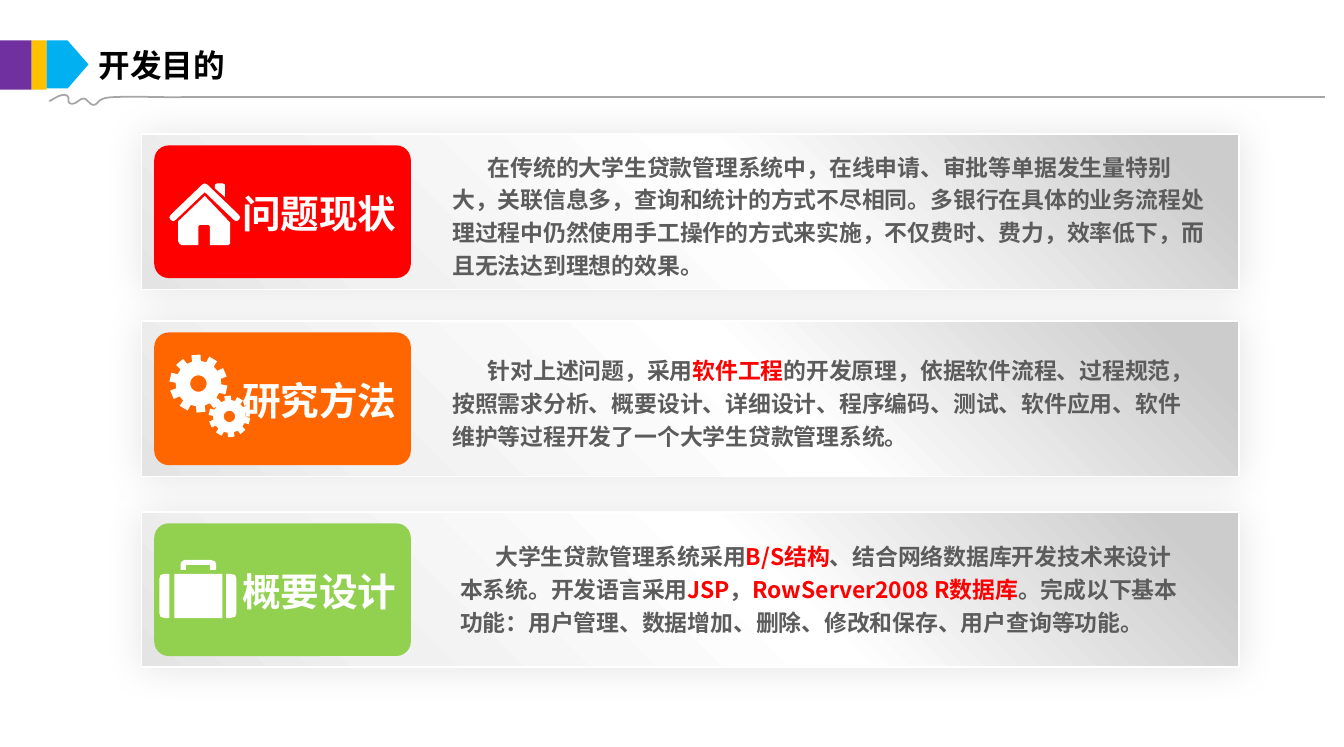
import math

import lxml.etree
import pptx
import pptx.dml.color
import pptx.enum.shapes
import pptx.enum.text
import pptx.oxml
import pptx.oxml.ns
import pptx.util

PX = 9144
SHAPES = pptx.enum.shapes.MSO_SHAPE
ALIGN = pptx.enum.text.PP_ALIGN
ANCHOR = pptx.enum.text.MSO_ANCHOR
RED, WHITE, GREY = "FF0000", "FFFFFF", "5C5C5C"
PANEL_STOPS = [(6, "CCCCCC"), (43, "FFFFFF"), (80, "F1F1F1"), (100, "E4E4E4")]

HOUSE = [
    [(178, 146), (176, 145), (172, 145), (170, 146), (170, 149), (178, 156)],
    [(189, 170), (164, 146), (162, 145), (160, 146), (135, 170), (134, 172), (135, 174),
     (137, 175), (139, 174), (162, 152), (185, 174), (187, 175), (189, 174), (190, 172)],
    [(141, 175), (141, 191), (142, 193), (144, 194), (157, 194), (157, 179), (158, 178),
     (165, 178), (166, 179), (166, 194), (180, 194), (182, 193), (182, 176), (162, 155)],
]
SUITCASE = [
    [(147, 447), (166, 447), (166, 451), (171, 451), (171, 446), (170, 444), (166, 443),
     (146, 443), (144, 444), (143, 446), (143, 451), (147, 451)],
    [(126, 458), (126, 485), (127, 488), (130, 489), (134, 489), (134, 454), (130, 454), (127, 455)],
    [(138, 489), (176, 489), (176, 454), (138, 454)],
    [(182, 454), (179, 454), (179, 489), (182, 489), (186, 488), (187, 485), (187, 458), (186, 455)],
]
SQUIGGLE = [
    (39, 80), (42, 79), (46, 75), (51, 75), (57, 76), (52, 81), (56, 82),
    (60, 83), (63, 78), (66, 78), (69, 78), (71, 83), (74, 83),
    (78, 83), (76, 78), (87, 77), (99, 76), (131, 77), (143, 77),
]


def rgb(value):
    """Turn a hex string into a colour."""
    return pptx.dml.color.RGBColor.from_string(value)


def write(paragraph, text, size=13, color=GREY, font="Noto Sans CJK SC", bold=True):
    """Add a formatted run to a paragraph."""
    run = paragraph.add_run()
    run.text = text
    run.font.size, run.font.bold, run.font.name = pptx.util.Pt(size), bold, font
    run.font.color.rgb = rgb(color)
    east_asian = lxml.etree.SubElement(run.font._element, pptx.oxml.ns.qn("a:ea"))
    east_asian.set("typeface", font)


def gear(x, y, tip, root, hole, teeth=10):
    """Return the toothed outline and the hole of a gear."""
    rim = []
    for tooth in range(teeth):
        middle = 13 + tooth * 360 / teeth
        for offset, radius in ((-11, root), (-9, tip), (9, tip), (11, root)):
            angle = math.radians(middle + offset)
            rim.append((x + radius * math.cos(angle), y + radius * math.sin(angle)))
    circle = [(x + hole * math.cos(math.radians(a)), y + hole * math.sin(math.radians(a)))
              for a in range(360, 0, -15)]
    return [rim, circle]


def smooth_curve(knots, steps=8):
    """Sample a chain of cubic Bezier segments."""
    points = [knots[0]]
    for first in range(0, len(knots) - 1, 3):
        for step in range(1, steps + 1):
            t = step / steps
            weights = ((1 - t) ** 3, 3 * t * (1 - t) ** 2, 3 * t * t * (1 - t), t ** 3)
            points.append(tuple(sum(w * knot[axis] for w, knot in zip(weights, knots[first:first + 4]))
                                for axis in (0, 1)))
    return points


class Deck:
    """Hold the style and the current slide."""

    def __init__(self, width, height):
        """Open a deck with one title slide layout."""
        self.presentation = pptx.Presentation()
        self.presentation.slide_width = width * PX
        self.presentation.slide_height = height * PX
        self.slide = self.presentation.slides.add_slide(self.presentation.slide_layouts[5])

    def title(self, text, left, top, width, height):
        """Place the slide title."""
        heading = self.slide.shapes.title
        heading.left, heading.top, heading.width, heading.height = (
            n * PX for n in (left, top, width, height))
        frame = heading.text_frame
        frame.margin_left = frame.margin_right = 7 * PX
        frame.margin_top = frame.margin_bottom = 4 * PX
        frame.vertical_anchor = ANCHOR.MIDDLE
        frame.paragraphs[0].alignment = ALIGN.LEFT
        write(frame.paragraphs[0], text, size=18, color="000000")

    def block(self, preset, left, top, width, height, fill, corner=None):
        """Add a filled preset shape without outline."""
        block = self.slide.shapes.add_shape(preset, left * PX, top * PX, width * PX, height * PX)
        block.shadow.inherit = False
        block.fill.solid()
        block.fill.fore_color.rgb = rgb(fill)
        block.line.fill.background()
        if corner is not None:
            block.adjustments[0] = corner
        return block

    def panel(self, left, top, width, height):
        """Add a gradient panel with a soft halo."""
        panel = self.block(SHAPES.ROUNDED_RECTANGLE, left, top, width, height, WHITE, corner=0)
        panel.line.color.rgb = rgb(WHITE)
        panel.line.width = pptx.util.Pt(1)
        panel.fill.gradient()
        panel.fill.gradient_angle = 225
        stops = panel._element.spPr.find(".//" + pptx.oxml.ns.qn("a:gsLst"))
        for stop in list(stops):
            stops.remove(stop)
        namespace = pptx.oxml.ns.nsdecls("a")
        for position, color in PANEL_STOPS:
            stops.append(pptx.oxml.parse_xml(
                f'<a:gs {namespace} pos="{position * 1000}"><a:srgbClr val="{color}"/></a:gs>'))
        effects = panel._element.spPr.find(pptx.oxml.ns.qn("a:effectLst"))
        effects.append(pptx.oxml.parse_xml(
            f'<a:outerShdw {namespace} blurRad="{pptx.util.Pt(22)}" dist="0" dir="0" algn="ctr" '
            'rotWithShape="0"><a:srgbClr val="000000"><a:alpha val="11000"/></a:srgbClr></a:outerShdw>'))

    def outline(self, contours, fill=None, line=None):
        """Draw closed filled contours or one open stroke."""
        scaled = [[(round(x * PX), round(y * PX)) for x, y in contour] for contour in contours]
        builder = self.slide.shapes.build_freeform(*scaled[0][0])
        for index, contour in enumerate(scaled):
            if index:
                builder.move_to(*contour[0])
            builder.add_line_segments(contour[1:], close=fill is not None)
        drawing = builder.convert_to_shape()
        drawing.shadow.inherit = False
        if fill:
            drawing.fill.solid()
            drawing.fill.fore_color.rgb = rgb(fill)
            drawing.line.fill.background()
        else:
            drawing.fill.background()
            drawing.line.color.rgb = rgb(line)
            drawing.line.width = pptx.util.Pt(1)

    def rule(self, start, end, color):
        """Add a thin straight line."""
        rule = self.slide.shapes.add_connector(
            pptx.enum.shapes.MSO_CONNECTOR.STRAIGHT, *(n * PX for n in start + end))
        rule.line.color.rgb = rgb(color)
        rule.line.width = pptx.util.Pt(1)
        lxml.etree.SubElement(rule._element.spPr, pptx.oxml.ns.qn("a:effectLst"))

    def text(self, pieces, left, top, width, height, align=ALIGN.LEFT, indent=0, **style):
        """Add a wrapped paragraph made of (text, colour) pieces."""
        frame = self.slide.shapes.add_textbox(left * PX, top * PX, width * PX, height * PX).text_frame
        frame.word_wrap = True
        frame.margin_left = frame.margin_right = 10 * PX
        frame.margin_top = frame.margin_bottom = 5 * PX
        paragraph = frame.paragraphs[0]
        paragraph.alignment = align
        paragraph.line_spacing = 1.2
        properties = paragraph._p.get_or_add_pPr()
        properties.set("indent", str(indent * PX))
        properties.set("hangingPunct", "0")
        for words, color in pieces:
            write(paragraph, words, color=color, **style)


CARDS = [
    ("问题现状", RED, 106, [HOUSE], (348, 112, 616, 116), [
        ("在传统的大学生贷款管理系统中，在线申请、审批等单据发生量特别大，关联信息多，查询和统计的方式不尽相同。"
         "多银行在具体的业务流程处理过程中仍然使用手工操作的方式来实施，不仅费时、费力，效率低下，"
         "而且无法达到理想的效果。", GREY)]),
    ("研究方法", "FF6600", 254, [gear(157, 303.5, 23, 18, 6.5), gear(181.5, 329.5, 16.5, 13, 4.5)],
     (348, 273, 610, 89), [
        ("针对上述问题，采用", GREY), ("软件工程", RED),
        ("的开发原理，依据软件流程、过程规范，按照需求分析、概要设计、详细设计、程序编码、测试、软件应用、"
         "软件维护等过程开发了一个大学生贷款管理系统。", GREY)]),
    ("概要设计", "92D050", 405, [SUITCASE], (354, 420, 598, 89), [
        ("大学生贷款管理系统采用", GREY), ("B/S结构", RED),
        ("、结合网络数据库开发技术来设计本系统。开发语言采用", GREY), ("JSP", RED), ("，", GREY),
        ("RowServer2008 R数据库", RED),
        ("。完成以下基本功能：用户管理、数据增加、删除、修改和保存、用户查询等功能。", GREY)]),
]


def main():
    """Build the slide and save it."""
    deck = Deck(1063, 591)
    for label, accent, top, icons, place, pieces in CARDS:
        deck.panel(112, top, 868, 123)
        deck.block(SHAPES.ROUNDED_RECTANGLE, 122, top + 9, 203, 105, accent, corner=0.11)
        deck.text([(label, WHITE)], 174, top + 32, 157, 54, align=ALIGN.CENTER, size=22)
        for icon in icons:
            deck.outline(icon, fill=WHITE)
        deck.text(pieces, *place, indent=28)
    deck.title("开发目的", 71, 32, 360, 38)
    deck.outline([smooth_curve(SQUIGGLE)], line="A6A6A6")
    deck.rule((143, 77), (1048, 77), "A6A6A6")
    deck.block(SHAPES.RECTANGLE, 0, 32, 25, 39, "7030A0")
    deck.block(SHAPES.RECTANGLE, 25, 32, 12, 39, "FFC000")
    deck.block(SHAPES.PENTAGON, 37, 32, 33, 38, "00B0F0")
    deck.presentation.save("out.pptx")


if __name__ == "__main__":
    main()
